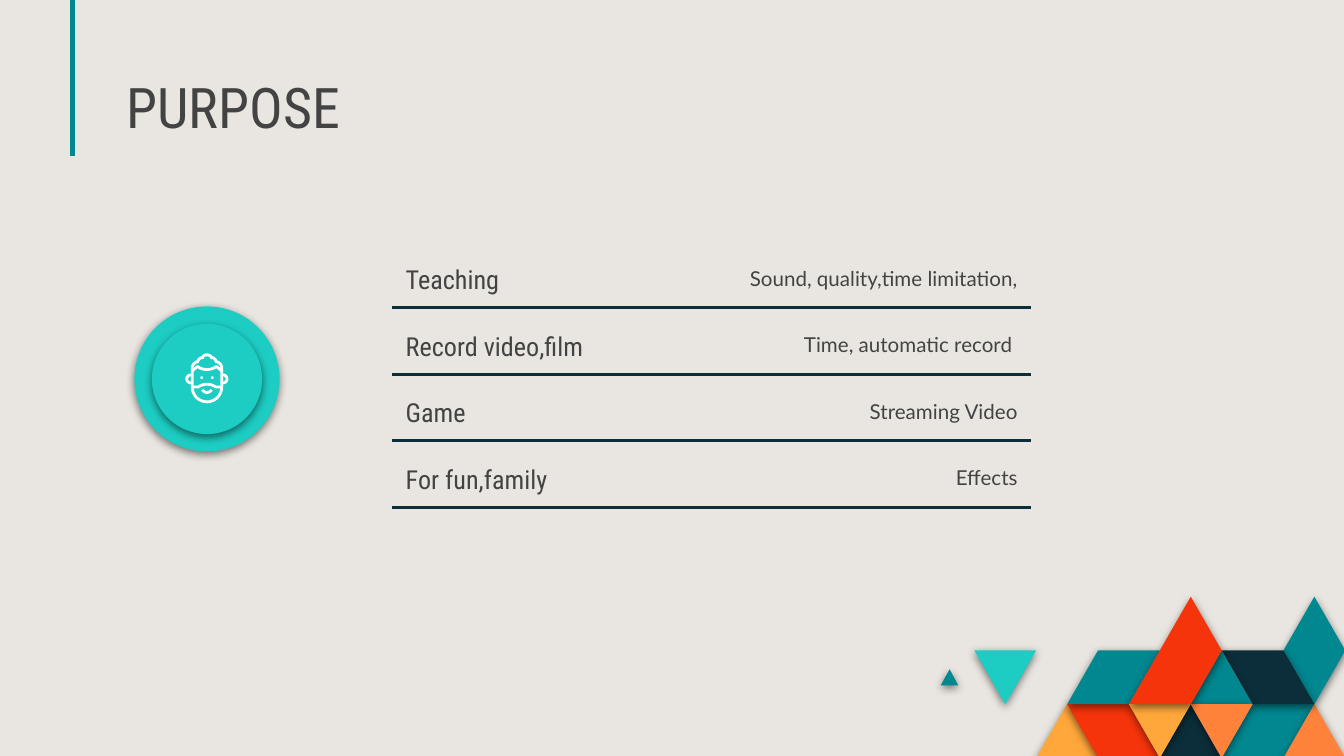
import math
from dataclasses import dataclass
from typing import NamedTuple

from lxml import etree
from pptx import Presentation
from pptx import util as u
from pptx.dml.color import RGBColor
from pptx.enum import shapes, text
from pptx.oxml import ns


@dataclass(frozen=True)
class Theme:
    paper: str = "E9E6E1"
    ink: str = "434343"
    white: str = "FFFFFF"
    teal: str = "018790"
    aqua: str = "1DCDC3"
    navy: str = "0C2E3A"
    red: str = "F5340B"
    amber: str = "FFA73B"
    orange: str = "FF823B"
    heading_font: str = "Roboto Condensed"
    body_font: str = "Lato"
    title_size: int = 30
    label_size: int = 14
    detail_size: int = 11


class Point(NamedTuple):
    column: float
    row: float


@dataclass(frozen=True)
class Grid:
    left: float
    top: float
    column: float
    row: float

    def at(self, point: Point) -> tuple[int, int]:
        column, row = point
        return (u.Inches(self.left + column * self.column),
                u.Inches(self.top + row * self.row))

    def size(self, columns: float, rows: float) -> tuple[int, int]:
        return u.Inches(columns * self.column), u.Inches(rows * self.row)


class Tile(NamedTuple):
    color: str
    corners: list


class Purpose(NamedTuple):
    label: str
    detail: str


class TextStyle(NamedTuple):
    font: str
    size: int
    align: text.PP_ALIGN
    anchor: text.MSO_ANCHOR


THEME = Theme()
PAGE = Grid(0, 0, 10, 5.625)
MOSAIC = Grid(7.25, 4.44, 0.23, 0.4)
PURPOSES = [
    Purpose("Teaching", "Sound, quality,time limitation,"),
    Purpose("Record video,film", "Time, automatic record "),
    Purpose("Game", "Streaming Video"),
    Purpose("For fun,family", "Effects"),
]
LIST = Grid(2.92, 1.86, 4.75, 1.98 / len(PURPOSES))
BADGE = Grid(1.54, 2.82, 1, 1)

TITLE = TextStyle(THEME.heading_font, THEME.title_size,
                  text.PP_ALIGN.LEFT, text.MSO_ANCHOR.BOTTOM)
LABEL = TextStyle(THEME.heading_font, THEME.label_size,
                  text.PP_ALIGN.LEFT, text.MSO_ANCHOR.TOP)
DETAIL = TextStyle(THEME.body_font, THEME.detail_size,
                   text.PP_ALIGN.RIGHT, text.MSO_ANCHOR.BOTTOM)

TILES = [
    Tile(THEME.amber, [(2, 3), (3, 2), (4, 3)]),
    Tile(THEME.red, [(3, 2), (5, 2), (6, 3), (4, 3)]),
    Tile(THEME.teal, [(8, 3), (9, 2), (11, 2), (10, 3)]),
    Tile(THEME.orange, [(10, 3), (11, 2), (12, 3)]),
    Tile(THEME.navy, [(6, 3), (7, 2), (8, 3)]),
    Tile(THEME.teal, [(3, 2), (4, 1), (6, 1), (5, 2)]),
    Tile(THEME.teal, [(-1.09, 1.65), (-0.8, 1.35), (-0.52, 1.65)]),
    Tile(THEME.aqua, [(0, 1), (2, 1), (1, 2)]),
    Tile(THEME.teal, [(10, 1), (11, 0), (12, 1), (11, 2)]),
    Tile(THEME.navy, [(8, 1), (10, 1), (11, 2), (9, 2)]),
    Tile(THEME.teal, [(7, 2), (8, 1), (9, 2)]),
    Tile(THEME.orange, [(7, 2), (9, 2), (8, 3)]),
    Tile(THEME.amber, [(5, 2), (7, 2), (6, 3)]),
    Tile(THEME.red, [(5, 2), (7, 0), (8, 1), (7, 2)]),
]


def paint(format_part, color: str) -> None:
    format_part.solid()
    format_part.fore_color.rgb = RGBColor.from_string(color)


def add_shadow(shape) -> None:
    shape.shadow.inherit = False
    effects = shape.element.spPr.find(ns.qn("a:effectLst"))
    shadow = etree.SubElement(effects, ns.qn("a:outerShdw"), blurRad=str(u.Pt(4.5)),
                              dist=str(u.Pt(1.5)), dir="5400000", algn="bl", rotWithShape="0")
    color = etree.SubElement(shadow, ns.qn("a:srgbClr"), val="000000")
    etree.SubElement(color, ns.qn("a:alpha"), val="50000")


def add_line(page, grid: Grid, start: Point, end: Point, color: str, width: float) -> None:
    line = page.shapes.add_connector(
        shapes.MSO_CONNECTOR.STRAIGHT, *grid.at(start), *grid.at(end))
    paint(line.line.fill, color)
    line.line.width = u.Pt(width)
    etree.SubElement(line.element.spPr, ns.qn("a:effectLst"))


def add_outline(page, grid: Grid, points: list, close: bool):
    corners = [grid.at(point) for point in points]
    builder = page.shapes.build_freeform(*corners[0])
    builder.add_line_segments(corners[1:], close=close)
    return builder.convert_to_shape()


def add_tile(page, tile: Tile) -> None:
    shape = add_outline(page, MOSAIC, tile.corners, True)
    paint(shape.fill, tile.color)
    shape.line.fill.background()
    add_shadow(shape)


def add_stroke(page, points: list, close: bool = False) -> None:
    shape = add_outline(page, BADGE, points, close)
    shape.fill.background()
    paint(shape.line.fill, THEME.white)
    shape.line.width = u.Pt(1.5)
    shape.shadow.inherit = False


def add_disc(page, center: Point, radius: float, color: str, shadow: bool) -> None:
    corner = Point(center[0] - radius, center[1] - radius)
    disc = page.shapes.add_shape(shapes.MSO_SHAPE.OVAL, *BADGE.at(corner),
                                 *BADGE.size(2 * radius, 2 * radius))
    paint(disc.fill, color)
    disc.line.fill.background()
    disc.shadow.inherit = False
    if shadow:
        add_shadow(disc)


def arc(center: Point, radius: float, start: int, end: int, steps: int = 16) -> list[Point]:
    angles = [math.radians(start + (end - start) * i / steps) for i in range(steps + 1)]
    return [Point(center[0] + radius * math.cos(a), center[1] + radius * math.sin(a))
            for a in angles]


def add_face(page) -> None:
    hair = (arc((-0.06, -0.08), 0.05, 180, 255) + arc((-0.03, -0.12), 0.04, 190, 270)
            + arc((0, -0.14), 0.04, 205, 335) + arc((0.03, -0.12), 0.04, 270, 350)
            + arc((0.06, -0.08), 0.05, 285, 360))
    add_stroke(page, hair + arc((0, 0.06), 0.11, 0, 180), True)
    add_stroke(page, [(-0.11, -0.06), *arc((0, -0.19), 0.12, 126, 54), (0.11, -0.06)])
    add_stroke(page, [(-0.11, 0.06), *arc((0, 0.16), 0.12, 236, 304), (0.11, 0.06)])
    add_stroke(page, arc((0, 0.06), 0.04, 150, 30))
    for side, start in ((-1, 90), (1, -90)):
        add_stroke(page, arc((side * 0.12, 0), 0.03, start, start + 180))
        add_disc(page, Point(side * 0.04, -0.01), 0.01, THEME.white, False)


def write(box, words: str, style: TextStyle) -> None:
    frame = box.text_frame
    frame.word_wrap = True
    frame.auto_size = text.MSO_AUTO_SIZE.NONE
    frame.vertical_anchor = style.anchor
    frame.margin_left = frame.margin_right = u.Inches(0.1)
    frame.margin_top = frame.margin_bottom = u.Inches(0.1)
    para = frame.paragraphs[0]
    para.alignment = style.align
    span = para.add_run()
    span.text = words
    span.font.name = style.font
    span.font.size = u.Pt(style.size)
    span.font.color.rgb = RGBColor.from_string(THEME.ink)


def add_purpose(page, row: int, purpose: Purpose) -> None:
    add_line(page, LIST, Point(0, row + 0.87), Point(1, row + 0.87), THEME.navy, 1.5)
    for words, column, share, style in ((purpose.label, 0, 0.45, LABEL),
                                        (purpose.detail, 0.46, 0.54, DETAIL)):
        box = page.shapes.add_textbox(*LIST.at(Point(column, row)), *LIST.size(share, 0.81))
        write(box, words, style)


def main() -> None:
    deck = Presentation()
    deck.slide_width, deck.slide_height = PAGE.size(1, 1)
    page = deck.slides.add_slide(deck.slide_layouts.get_by_name("Title Only"))
    paint(page.background.fill, THEME.paper)
    title = page.shapes.title
    title.left, title.top = u.Inches(0.84), u.Inches(0.51)
    title.width, title.height = u.Inches(8.85), u.Inches(0.63)
    write(title, "PURPOSE", TITLE)
    add_line(page, PAGE, Point(0.054, 0), Point(0.054, 0.206), THEME.teal, 2.25)
    for tile in TILES:
        add_tile(page, tile)
    for radius in (0.54, 0.41):
        add_disc(page, Point(0, 0), radius, THEME.aqua, True)
    add_face(page)
    for row, purpose in enumerate(PURPOSES):
        add_purpose(page, row, purpose)
    deck.save("out.pptx")


if __name__ == "__main__":
    main()
